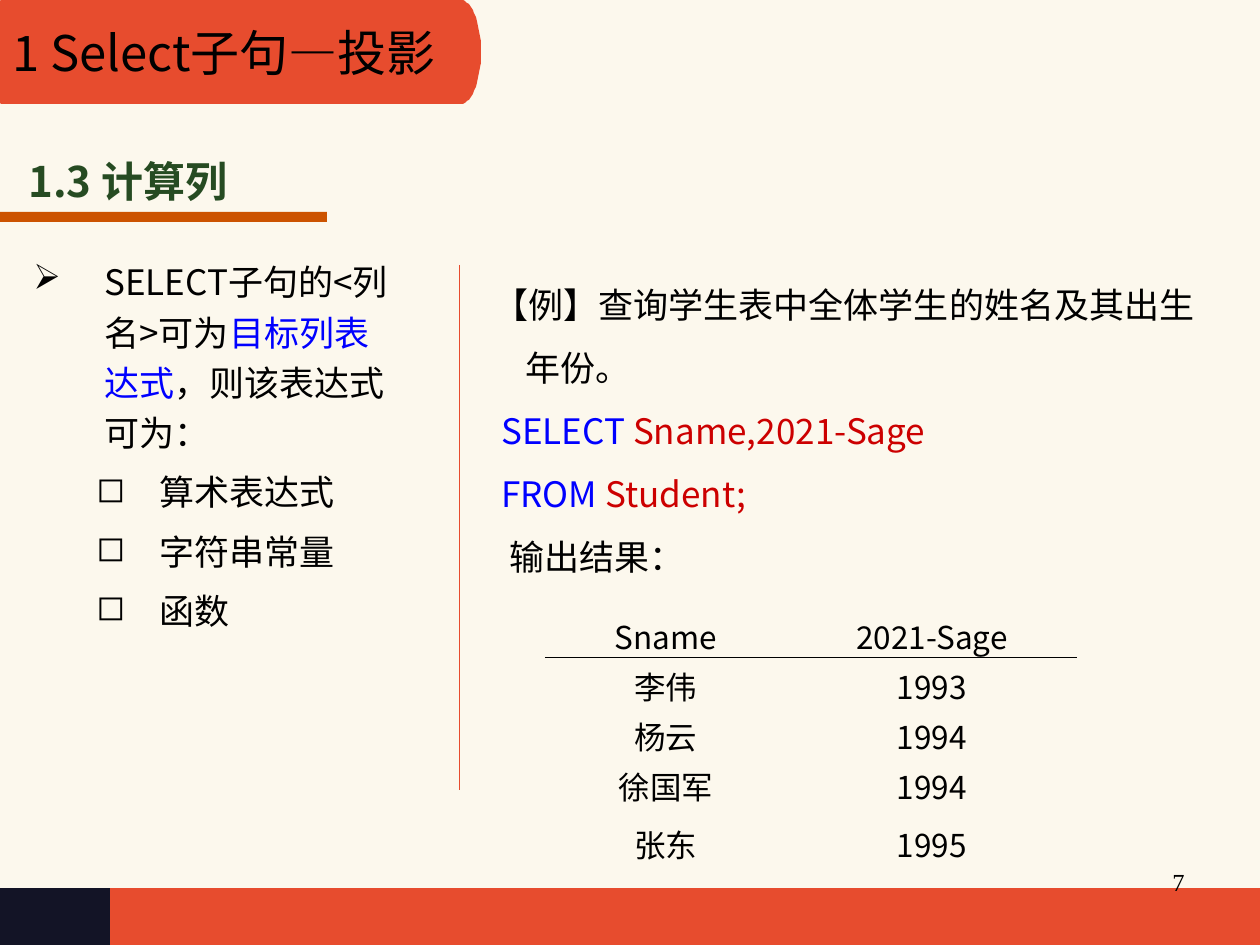
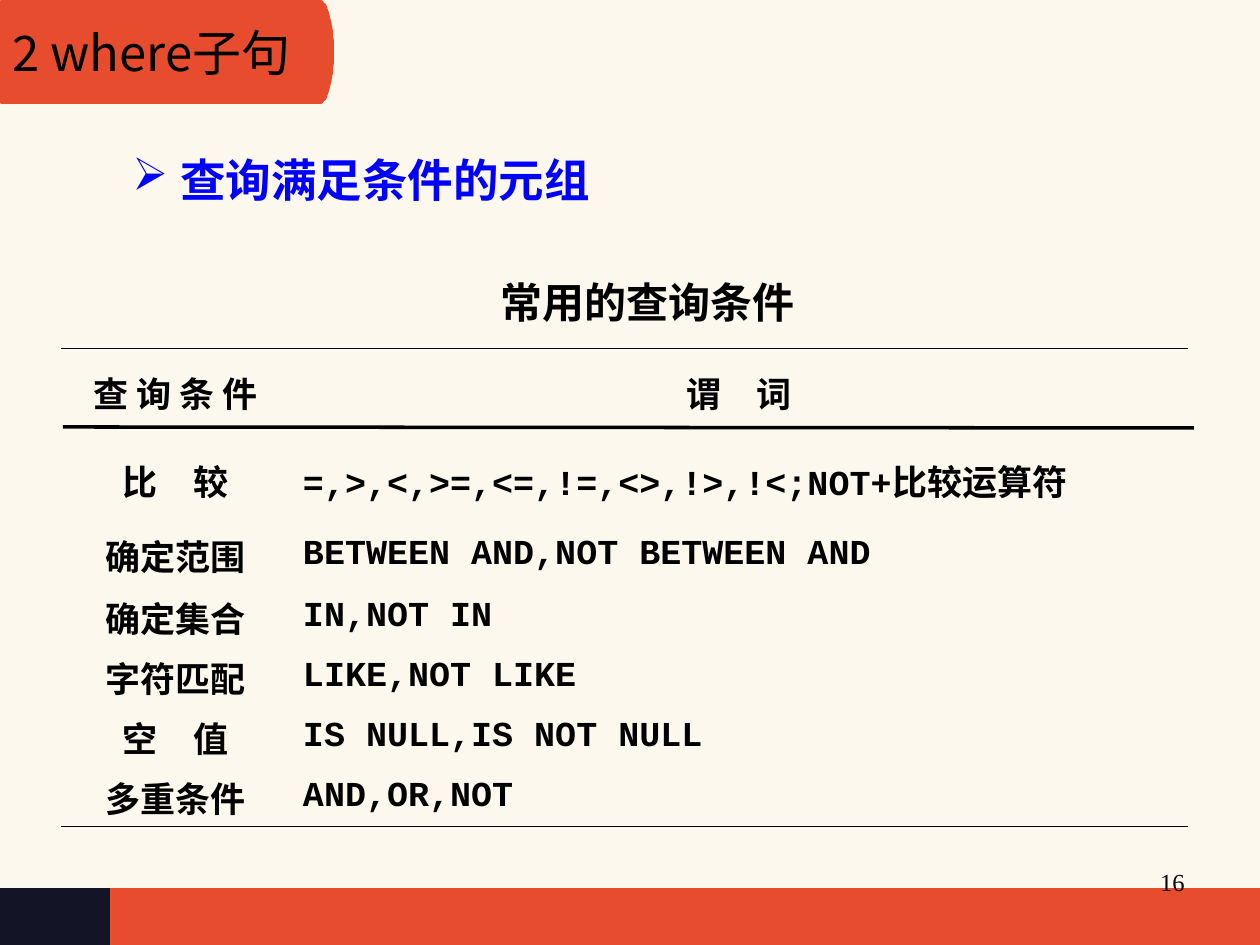
from collections import namedtuple
from math import cos, radians, sin

from lxml.etree import SubElement
from pptx import Presentation
from pptx.dml.color import RGBColor
from pptx.enum.shapes import MSO_CONNECTOR, MSO_SHAPE
from pptx.enum.text import MSO_ANCHOR, PP_ALIGN
from pptx.oxml.ns import qn
from pptx.util import Pt

SCALE = 914400 // 126


class Theme:
    cream = "FCF8ED"
    red = "E74C2E"
    navy = "131426"
    orange = "CC5300"
    green = "264B22"
    black = "000000"
    blue = "0000FF"
    crimson = "CC0000"
    sans = "Noto Sans CJK SC"
    code = "Courier New"
    serif = "Times New Roman"
    title = 28
    heading = 26
    subheading = 24
    body = 20
    table = 18
    number = 14


Span = namedtuple("Span", "text color size font bold",
                  defaults=(Theme.black, Theme.body, Theme.sans, False))
Line = namedtuple("Line", "spans align margin indent bullet spacing before",
                  defaults=(PP_ALIGN.LEFT, 0, 0, None, 1.0, 0))


def write(para, spans):
    for item in spans:
        span = para.add_run()
        span.text = item.text
        span.font.size = Pt(item.size)
        span.font.bold = item.bold
        span.font.color.rgb = RGBColor.from_string(item.color)
        span.font.name = item.font
        east_asian = SubElement(span.font._element, qn("a:ea"))
        east_asian.set("typeface", Theme.sans)


def paint(shape, color):
    shape.shadow.inherit = False
    shape.fill.solid()
    shape.fill.fore_color.rgb = RGBColor.from_string(color)
    shape.line.fill.background()


deck = Presentation()
deck.slide_width = 1260 * SCALE
deck.slide_height = 945 * SCALE
select_page = deck.slides.add_slide(deck.slide_layouts[6])
where_page = deck.slides.add_slide(deck.slide_layouts[6])

for page, title, tab_right, bulge in [
    (select_page, "1 Select子句—投影", 481, 20),
    (where_page, "2 where子句", 334, 14),
]:
    page.background.fill.solid()
    page.background.fill.fore_color.rgb = RGBColor.from_string(Theme.cream)
    for width, color in [(1260, Theme.red), (110, Theme.navy)]:
        band = page.shapes.add_shape(
            MSO_SHAPE.RECTANGLE, 0, 888 * SCALE, width * SCALE, 57 * SCALE)
        paint(band, color)

    curve = [
        (tab_right - bulge + bulge * cos(radians(angle)), 52 + 52 * sin(radians(angle)))
        for angle in range(-90, 91, 6)
    ]
    builder = page.shapes.build_freeform(1, 0, scale=SCALE)
    builder.add_line_segments(curve + [(1, 104), (0, 103), (0, 1)], close=True)
    tab = builder.convert_to_shape()
    paint(tab, Theme.red)
    tab.text_frame.word_wrap = True
    tab.text_frame.vertical_anchor = MSO_ANCHOR.MIDDLE
    para = tab.text_frame.paragraphs[0]
    para.alignment = PP_ALIGN.LEFT
    write(para, [Span(title, size=Theme.title)])

underline = select_page.shapes.add_shape(
    MSO_SHAPE.RECTANGLE, 0, 212 * SCALE, 327 * SCALE, 10 * SCALE)
paint(underline, Theme.orange)

expression_kinds = [
    Line([Span(kind)], PP_ALIGN.JUSTIFY, 126, -63, "◻", 1.2, 5)
    for kind in ["算术表达式", "字符串常量", "函数"]
]
text_boxes = [
    (select_page, (903, 861, 294, 66), True, [
        Line([Span("7", size=Theme.number, font=Theme.serif)], PP_ALIGN.RIGHT),
    ]),
    (where_page, (903, 861, 294, 66), True, [
        Line([Span("16", size=Theme.number, font=Theme.serif)], PP_ALIGN.RIGHT),
    ]),
    (select_page, (16, 149, 430, 63), True, [
        Line([Span("1.3 计算列", Theme.green, Theme.subheading, bold=True)]),
    ]),
    (select_page, (21, 246, 388, 600), True, [
        Line([
            Span("SELECT子句的<列名>可为"),
            Span("目标列表达式", Theme.blue),
            Span("，则该表达式可为："),
        ], margin=71, indent=-71, bullet="➢", spacing=1.2, before=10),
        *expression_kinds,
    ]),
    (select_page, (481, 256, 757, 270), True, [
        Line([Span("【例】查询学生表中全体学生的姓名及其出生年份。")],
             margin=32, indent=-32, spacing=1.5),
        Line([Span("SELECT", Theme.blue), Span(" Sname,2021-Sage", Theme.crimson)],
             margin=8, spacing=1.5),
        Line([Span("FROM", Theme.blue), Span(" Student;", Theme.crimson)],
             margin=8, spacing=1.5),
        Line([Span("输出结果：")], margin=16, spacing=1.5),
    ]),
    (where_page, (441, 270, 413, 63), False, [
        Line([Span("常用的查询条件", size=Theme.subheading, font=Theme.code, bold=True)],
             PP_ALIGN.CENTER),
    ]),
    (where_page, (120, 146, 483, 68), False, [
        Line([Span("查询满足条件的元组", Theme.blue, Theme.heading, Theme.code, True)],
             margin=48, indent=-48, bullet="➢"),
    ]),
]
for page, place, wrap, lines in text_boxes:
    box = page.shapes.add_textbox(*[length * SCALE for length in place])
    frame = box.text_frame
    frame.word_wrap = wrap
    for index, line in enumerate(lines):
        para = frame.add_paragraph() if index else frame.paragraphs[0]
        para.alignment = line.align
        para.line_spacing = line.spacing
        para.space_before = Pt(line.before)
        write(para, line.spans)
        properties = para._p.get_or_add_pPr()
        properties.set("marL", str(line.margin * SCALE))
        properties.set("indent", str(line.indent * SCALE))
        if line.bullet:
            bullet_color = SubElement(properties, qn("a:buClr"))
            SubElement(bullet_color, qn("a:srgbClr")).set("val", line.spans[0].color)
            SubElement(properties, qn("a:buChar")).set("char", line.bullet)

birth_years = [
    ("Sname", "2021-Sage"),
    ("李伟", "1993"),
    ("杨云", "1994"),
    ("徐国军", "1994"),
    ("张东", "1995"),
]
conditions = [
    ("查 询 条 件", "谓　词"),
    ("比　较", "=,>,<,>=,<=,!=,<>,!>,!<;NOT+比较运算符"),
    ("确定范围", "BETWEEN AND,NOT BETWEEN AND"),
    ("确定集合", "IN,NOT IN"),
    ("字符匹配", "LIKE,NOT LIKE"),
    ("空　值", "IS NULL,IS NOT NULL"),
    ("多重条件", "AND,OR,NOT"),
]
Grid = namedtuple("Grid", "page left top columns heights rows anchor side edge "
                          "size font bold centred rules rule_width")
grids = [
    Grid(select_page, 545, 607, (242, 290), (50, 50, 50, 58, 50), birth_years,
         MSO_ANCHOR.TOP, 10, 6, Theme.table, Theme.sans, False, True,
         {(0, "lnB"), (1, "lnT")}, 0.23),
    Grid(where_page, 61, 348, (229, 898), (88, 88, 63, 60, 60, 60, 60), conditions,
         MSO_ANCHOR.MIDDLE, 13, 4, Theme.body, Theme.code, True, False,
         {(0, "lnT"), (6, "lnB")}, 0.45),
]
for grid in grids:
    table = grid.page.shapes.add_table(
        len(grid.rows), len(grid.columns), grid.left * SCALE, grid.top * SCALE,
        sum(grid.columns) * SCALE, sum(grid.heights) * SCALE).table
    table.first_row = False
    table.horz_banding = False
    for column, width in zip(table.columns, grid.columns):
        column.width = width * SCALE
    for row_index, texts in enumerate(grid.rows):
        table.rows[row_index].height = grid.heights[row_index] * SCALE
        for column_index, text in enumerate(texts):
            cell = table.cell(row_index, column_index)
            cell.vertical_anchor = grid.anchor
            cell.margin_left = cell.margin_right = grid.side * SCALE
            cell.margin_top = cell.margin_bottom = grid.edge * SCALE
            para = cell.text_frame.paragraphs[0]
            centred = grid.centred or row_index == 0 or column_index == 0
            para.alignment = PP_ALIGN.CENTER if centred else PP_ALIGN.LEFT
            write(para, [Span(text, size=grid.size, font=grid.font, bold=grid.bold)])
            properties = cell._tc.get_or_add_tcPr()
            for side in ["lnL", "lnR", "lnT", "lnB"]:
                border = SubElement(properties, qn("a:" + side))
                if (row_index, side) in grid.rules:
                    border.set("w", str(Pt(grid.rule_width)))
                    ink = SubElement(border, qn("a:solidFill"))
                    SubElement(ink, qn("a:srgbClr")).set("val", Theme.black)
                else:
                    SubElement(border, qn("a:noFill"))
            cell.fill.background()

for page, ends, color, width in [
    (select_page, (459, 265, 459, 790), Theme.red, 0.5),
    (where_page, (63, 427, 1194, 428), Theme.black, 2),
]:
    rule = page.shapes.add_connector(
        MSO_CONNECTOR.STRAIGHT, *[length * SCALE for length in ends])
    rule.line.color.rgb = RGBColor.from_string(color)
    rule.line.width = Pt(width)
    SubElement(rule._element.spPr, qn("a:effectLst"))

deck.save("out.pptx")
